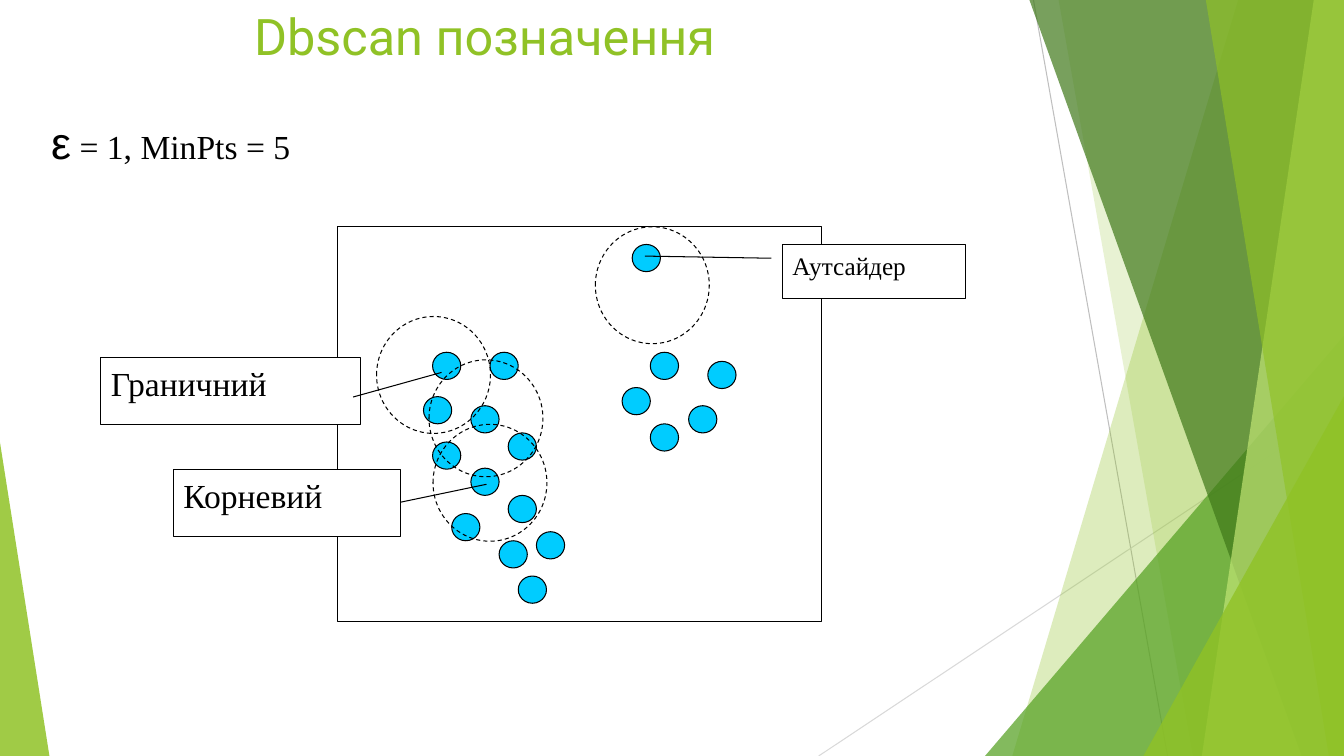
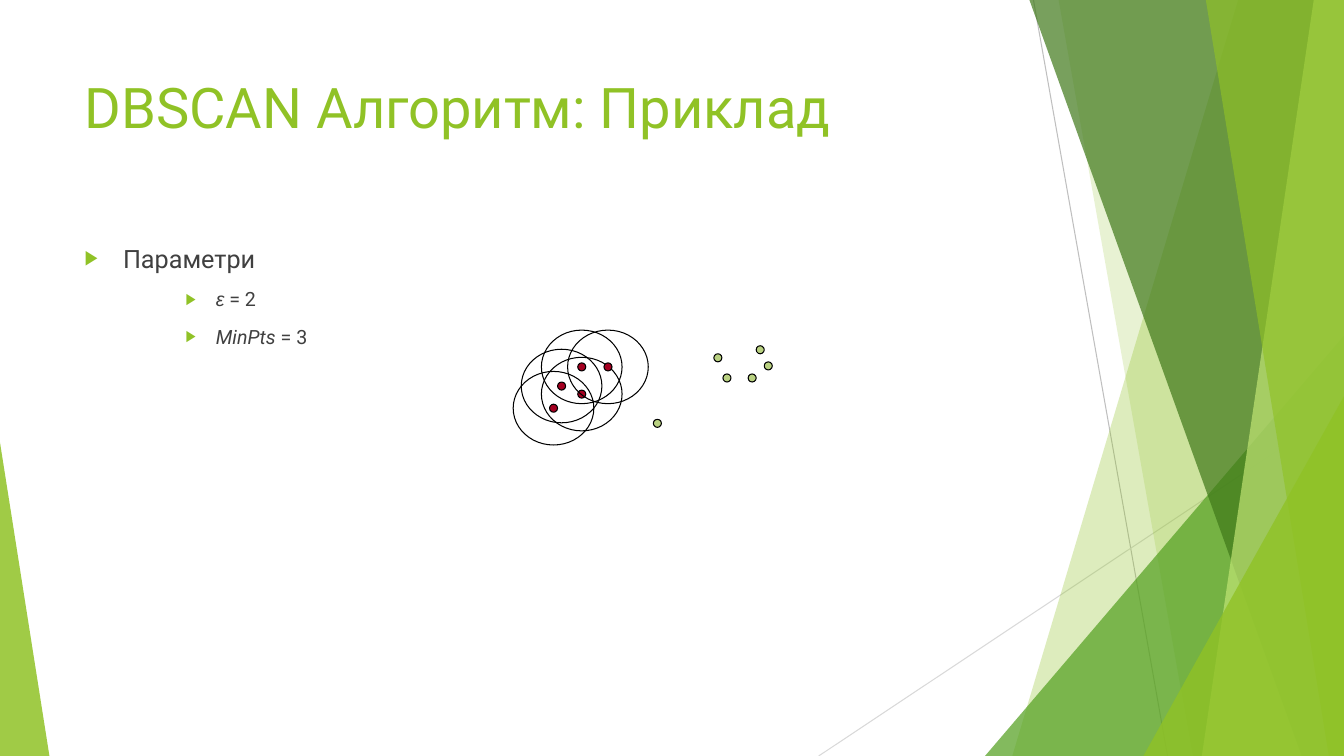
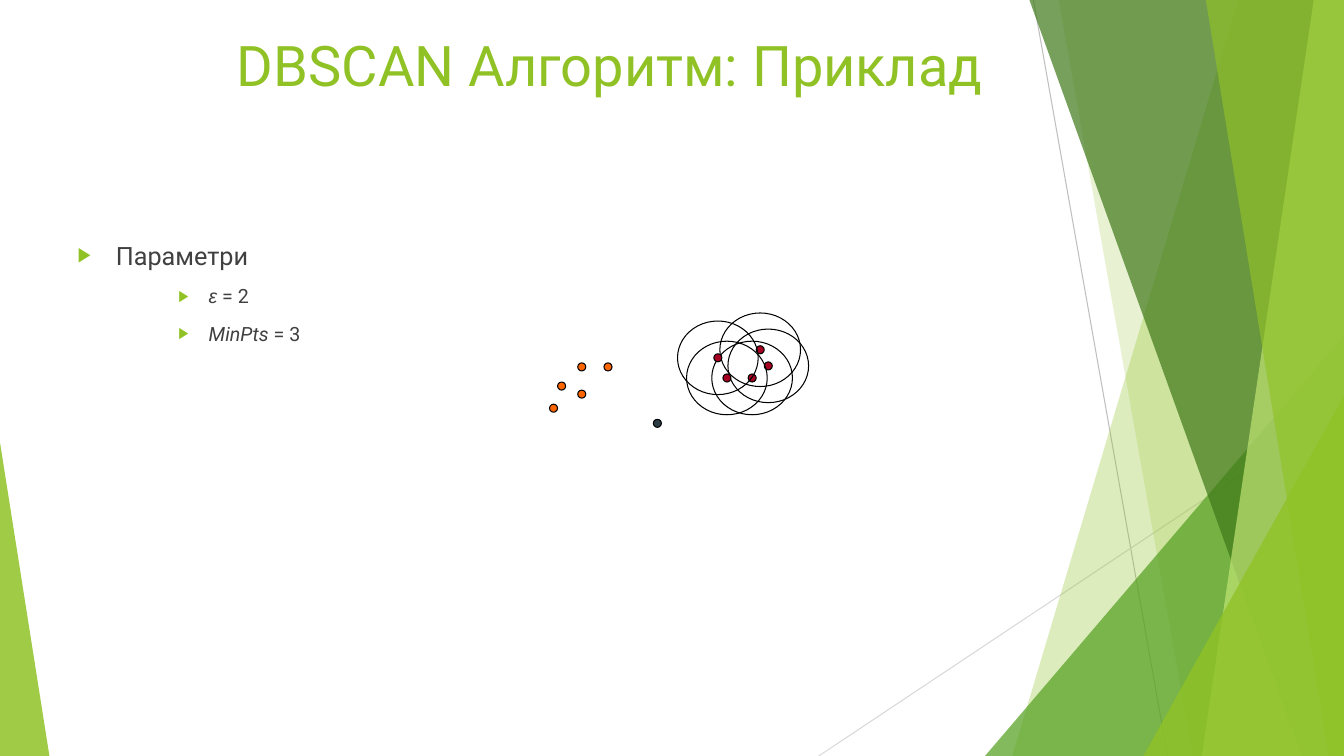
from lxml.etree import SubElement
from pptx import Presentation
from pptx.dml.color import RGBColor
from pptx.enum.dml import MSO_LINE
from pptx.enum.shapes import MSO_CONNECTOR, MSO_SHAPE
from pptx.enum.text import MSO_ANCHOR, MSO_AUTO_SIZE, PP_ALIGN
from pptx.oxml.ns import qn
from pptx.util import Inches, Pt

LIME, GREEN, BLACK, WHITE = "90C226", "54A021", "000000", "FFFFFF"
SKY, RED, PALE, ORANGE, SLATE = "00CCFF", "A50021", "B9D181", "FF6600", "2C3C43"
GREY = "404040"
SERIF = "Times New Roman"
FRAME = {"word_wrap": True, "auto_size": MSO_AUTO_SIZE.NONE,
         "vertical_anchor": MSO_ANCHOR.TOP}


def paint(shape, fill=None, line=None, alpha=None):
    """Set fill, outline and opacity (percent), without a shadow."""
    shape.shadow.inherit = False
    if fill:
        shape.fill.solid()
        shape.fill.fore_color.rgb = RGBColor.from_string(fill)
    else:
        shape.fill.background()
    if line:
        shape.line.color.rgb = RGBColor.from_string(line)
        shape.line.width = Pt(0.75)
    else:
        shape.line.fill.background()
    if alpha:
        tone = shape.element.spPr.find(qn("a:solidFill"))[0]
        SubElement(tone, qn("a:alpha"), val=str(alpha * 1000))
    return shape


def write(frame, runs, color):
    """Add (text, size, font, italic) runs to the last paragraph."""
    for name, value in FRAME.items():
        setattr(frame, name, value)
    par = frame.paragraphs[-1]
    par.alignment = PP_ALIGN.LEFT
    for text, size, font, slant in runs:
        run = par.add_run()
        run.text = text
        look = {"size": Pt(size), "name": font, "italic": slant}
        for name, value in look.items():
            setattr(run.font, name, value)
        run.font.color.rgb = RGBColor.from_string(color)
    return par


deck = Presentation()
deck.slide_width, deck.slide_height = Inches(13.33), Inches(7.5)

# Slides and their titles
DBSCAN = "DBSCAN Алгоритм: Приклад"
pages = []
for layout, text, size, box in [
    (5, "Dbscan позначення", 36, (2.42, 0, 8.5, 1.25)),
    (1, DBSCAN, 40, (0.74, 0.67, 9.4, 1.44)),
    (1, DBSCAN, 40, (2.25, 0.25, 8.75, 1.42)),
]:
    page = deck.slides.add_slide(deck.slide_layouts[layout])
    title = page.shapes.title
    title.left, title.top, title.width, title.height = map(Inches, box)
    write(title.text_frame, [(text, size, "Roboto", False)], LIME)
    pages.append(page)

# Shared facets: drawn once, then moved to the slide master
shapes = pages[0].shapes
decor = []
for ends, color in [((10.25, 0, 11.58, 7.5), "BFBFBF"),
                    ((13.33, 4.03, 8.12, 7.5), "D9D9D9")]:
    line = shapes.add_connector(MSO_CONNECTOR.STRAIGHT, *map(Inches, ends))
    line.line.color.rgb = RGBColor.from_string(color)
    line.line.width = Pt(0.75)
    SubElement(line.element.spPr, qn("a:effectLst"))
    decor.append(line)

# A facet runs to the right edge from its top and bottom x;
# a triangle has a box and the place of its tip
for place, tip, color, alpha in [
    ((12.28, 10.04), None, LIME, 30),
    ((10.5, 11.83), None, LIME, 20),
    ((9.77, 3.33, 3.56, 4.17), 1, GREEN, 72),
    ((10.21, 12.91), None, "3F7819", 70),
    ((13.03, 11.92), None, "C0E474", 70),
    ((11.96, 13.18), None, LIME, 65),
    ((11.34, 3.93, 1.99, 3.57), 1, LIME, 80),
    ((0, 4.39, 0.49, 3.11), 0, LIME, 85),
]:
    if tip is None:
        top, low = place
        pen = shapes.build_freeform(Inches(top), 0)
        pen.add_line_segments([(Inches(x), Inches(y)) for x, y in
                               [(13.33, 0), (13.33, 7.5), (low, 7.5)]])
        facet = pen.convert_to_shape()
    else:
        facet = shapes.add_shape(MSO_SHAPE.ISOSCELES_TRIANGLE,
                                 *map(Inches, place))
        facet.adjustments[0] = tip
    decor.append(paint(facet, color, alpha=alpha))

tree = deck.slide_master.element.cSld.spTree
for number, shape in enumerate(decor, 20):
    shape.element.xpath(".//p:cNvPr")[0].set("id", str(number))
    tree.append(shape.element)

# Slide 1: parameters
note = shapes.add_textbox(*map(Inches, (0.41, 1.09, 3.17, 0.63)))
write(note.text_frame, [("ε", 32, "Arial", False),
                        (" = 1, MinPts = 5", 24, SERIF, False)], BLACK)

# Slide 1: points and their neighbourhoods, by centre
points = [
    (4.43, 3.63), (4.34, 4.07), (4.81, 4.16), (5, 3.63), (5.18, 4.43),
    (4.43, 4.52), (4.81, 4.78), (4.62, 5.23), (5.09, 5.5), (5.28, 5.85),
    (5.18, 5.05), (5.46, 5.41), (6.41, 2.56), (6.59, 3.63), (6.31, 3.98),
    (6.97, 4.16), (7.16, 3.72), (6.59, 4.34),
]
zones = [(4.3, 3.72), (4.86, 4.79), (6.47, 2.83), (4.82, 4.15)]
for spots, wide, high, fill in [(points, 0.28, 0.27, SKY),
                                (zones, 1.13, 1.16, None)]:
    for x, y in spots:
        box = (x - wide / 2, y - high / 2, wide, high)
        oval = shapes.add_shape(MSO_SHAPE.OVAL, *map(Inches, box))
        paint(oval, fill, BLACK)
        if not fill:
            oval.line.dash_style = MSO_LINE.DASH
plot = shapes.add_shape(MSO_SHAPE.RECTANGLE,
                        *map(Inches, (3.35, 2.25, 4.8, 3.92)))
paint(plot, line=BLACK)

# Slide 1: callouts
for text, size, box, leader in [
    ("Корневий", 24, (1.72, 4.66, 2.25, 0.66), (0.49, 1, 0.22, 1.38)),
    ("Граничний", 24, (1, 3.55, 2.58, 0.66), (0.59, 0.97, 0.22, 1.31)),
    ("Аутсайдер", 18, (7.76, 2.43, 1.82, 0.53), (0.25, -0.06, 0.21, -0.75)),
]:
    label = shapes.add_shape(MSO_SHAPE.LINE_CALLOUT_1, *map(Inches, box))
    for n, value in enumerate(leader):
        label.adjustments[n] = value
    paint(label, WHITE, BLACK)
    write(label.text_frame, [(text, size, SERIF, False)], BLACK)

# Slides 2 and 3: parameter list and clusters, points by centre
west = [(5.49, 4.05), (5.57, 3.83), (5.77, 3.64), (5.77, 3.91), (6.03, 3.64)]
east = [(7.62, 3.63), (7.54, 3.47), (7.46, 3.75), (7.21, 3.75), (7.12, 3.55)]
noise = [(6.52, 4.2)]
items = [
    (0, 0.38, 0.38, [("Параметри", 18, "Roboto", False)]),
    (2, 1.3, 0.3, [("ε", 14, "Arial", True), (" = 2", 14, "Roboto", False)]),
    (2, 1.3, 0.3, [("MinPts", 14, "Roboto", True),
                   (" = 3", 14, "Roboto", False)]),
]
for page, box, groups in [
    (pages[1], (0.74, 2.36, 9.4, 4.24),
     [(east, PALE), (noise, PALE), (west, RED)]),
    (pages[2], (0.67, 2.33, 8.5, 4.5),
     [(west, ORANGE), (noise, SLATE), (east, RED)]),
]:
    body = page.placeholders[1]
    body.left, body.top, body.width, body.height = map(Inches, box)
    for n, (level, margin, hang, runs) in enumerate(items):
        if n:
            body.text_frame.add_paragraph()
        par = write(body.text_frame, runs, GREY)
        par.level, par.space_before = level, Pt(10)
        props = par._p.get_or_add_pPr()
        props.set("marL", str(Inches(margin)))
        props.set("indent", str(-Inches(hang)))
        tint = SubElement(props, qn("a:buClr"))
        SubElement(tint, qn("a:srgbClr"), val=LIME)
        SubElement(props, qn("a:buSzPct"), val="80000")
        SubElement(props, qn("a:buFont"), typeface="Arial")
        SubElement(props, qn("a:buChar"), char="▶")

    # The cluster being grown is red, each point inside its radius
    for spots, fill in groups:
        sizes = [(0.08, 0.08, fill)]
        if fill == RED:
            sizes.insert(0, (0.8, 0.73, None))
        for x, y in spots:
            for wide, high, tone in sizes:
                box = (x - wide / 2, y - high / 2, wide, high)
                oval = page.shapes.add_shape(MSO_SHAPE.OVAL,
                                             *map(Inches, box))
                paint(oval, tone, BLACK)

deck.save("out.pptx")
